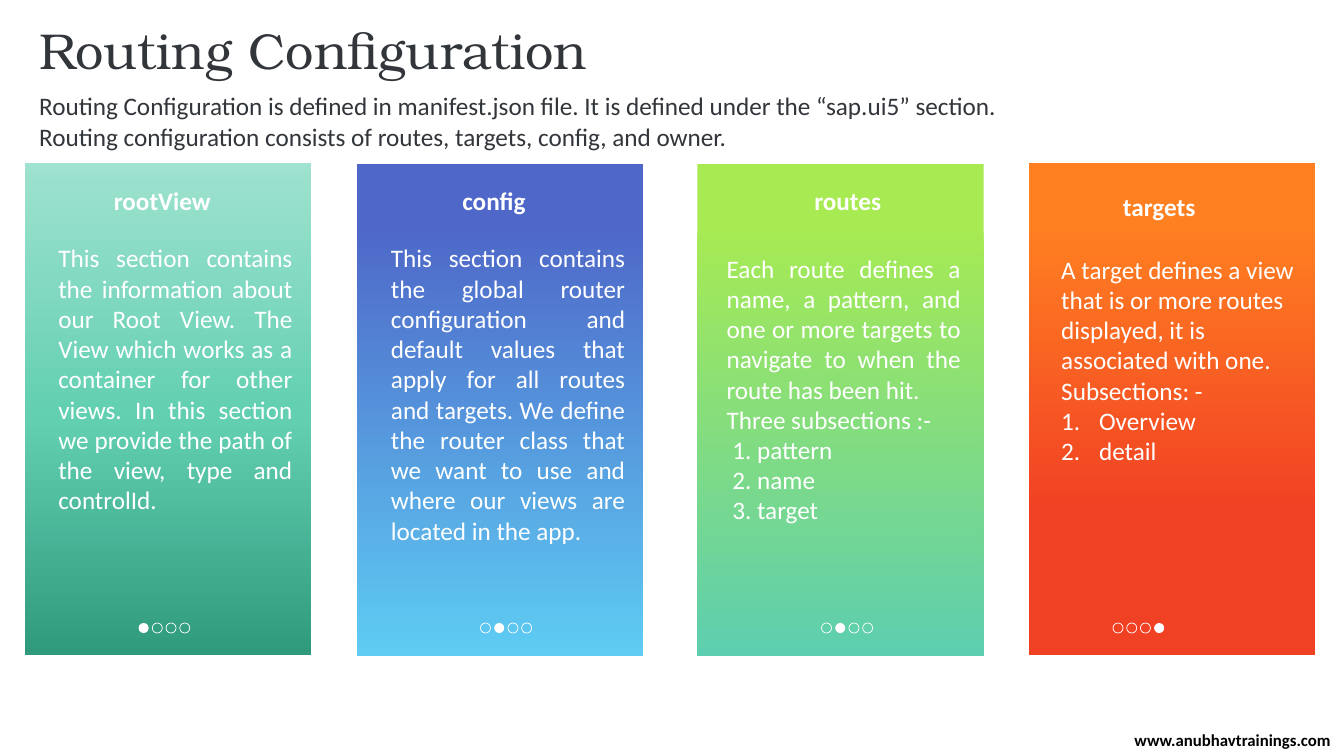
import dataclasses

import lxml.etree
import pptx
import pptx.dml.color
import pptx.enum.shapes
import pptx.enum.text
import pptx.oxml.ns
import pptx.util

Pt = pptx.util.Pt
Align = pptx.enum.text.PP_ALIGN
Anchor = pptx.enum.text.MSO_ANCHOR
Shape = pptx.enum.shapes.MSO_SHAPE
qn = pptx.oxml.ns.qn


@dataclasses.dataclass(frozen=True)
class Theme:
    ink: str = "32363A"
    white: str = "FFFFFF"
    black: str = "000000"
    title_font: str = "TeX Gyre Bonum"
    body_font: str = "Calibri"
    title_size: int = 36
    body_size: int = 18
    footer_size: int = 12
    # Gradient stops from top to bottom: (percent, colour)
    mint: tuple = ((0, "9EE2CF"), (52, "62CFB1"), (100, "2F9A7C"))
    blue: tuple = ((12, "4E67C8"), (100, "5ECCF3"))
    green: tuple = ((12, "A7EA52"), (100, "5DCEAF"))
    orange: tuple = ((12, "FF8021"), (71, "F14124"), (100, "F14124"))


@dataclasses.dataclass(frozen=True)
class Panel:
    left: float
    top: float
    stops: tuple
    heading: str
    heading_center: float
    heading_top: float
    body_left: float
    body_top: float
    body_height: float
    lines: tuple
    dots_left: float
    active_dot: int
    numbered: tuple = ()
    number_left: float = 0
    number_hanging: float = 0
    align: Align = Align.JUSTIFY


THEME = Theme()
PANEL_SIZE = (204.5, 351.4)
TEXT_WIDTH = 181.44
DOT_SIZE, DOT_PITCH, DOT_TOP, DOT_COUNT = 7.2, 9.8, 445, 4

PANELS = (
    Panel(18, 116.64, THEME.mint, "rootView", 115.9, 128.16, 34.56, 169.92, 203.8,
          ("This section contains the information about our Root View. "
           "The View which works as a container for other views. In this "
           "section we provide the path of the view, type and controlId.",),
          99, 0),
    Panel(254.9, 117.36, THEME.blue, "config", 352.8, 128.16, 272.16, 169.92, 225.4,
          ("This section contains the global router configuration and default "
           "values that apply for all routes and targets. We define the router "
           "class that we want to use and where our views are located in the app.",),
          343.2, 1),
    Panel(498.2, 117.36, THEME.green, "routes", 605.5, 128.16, 511.92, 177.12, 203.8,
          ("Each route defines a name, a pattern, and one or more targets to "
           "navigate to when the route has been hit.",
           "Three subsections :-"),
          586.8, 1, ("pattern", "name", "target"), 21.8, 17.7),
    Panel(735.1, 116.64, THEME.orange, "targets", 828, 132.48, 750.96, 177.84, 181.4,
          ("A target defines a view that is or more routes displayed, it is "
           "associated with one.",
           "Subsections: -"),
          795, 3, ("Overview", "detail"), 27, 27, Align.LEFT),
)


def rgb(value):
    return pptx.dml.color.RGBColor.from_string(value)


def write_paragraph(paragraph, text, *, font, size, color, bold=False,
                    align=Align.LEFT, spacing=None):
    paragraph.alignment = align
    if spacing:
        paragraph.line_spacing = spacing
    run = paragraph.add_run()
    run.text = text
    run.font.name = font
    run.font.size = Pt(size)
    run.font.bold = bold
    run.font.color.rgb = rgb(color)


class SlideBuilder:
    def __init__(self, slide, theme):
        self.slide = slide
        self.theme = theme

    def text(self, left, top, width, height, lines, *, anchor=Anchor.TOP,
             grow=True, numbered=(), number_left=0, number_hanging=0, **style):
        box = self.slide.shapes.add_textbox(Pt(left), Pt(top), Pt(width), Pt(height))
        frame = box.text_frame
        frame.word_wrap = True
        frame.vertical_anchor = anchor
        if grow:
            frame.auto_size = pptx.enum.text.MSO_AUTO_SIZE.SHAPE_TO_FIT_TEXT
        style = {"font": self.theme.body_font, "size": self.theme.body_size,
                 "color": self.theme.white, **style}
        for index, line in enumerate((*lines, *numbered)):
            paragraph = frame.add_paragraph() if index else frame.paragraphs[0]
            if index >= len(lines):
                self.number(paragraph, number_left, number_hanging)
            write_paragraph(paragraph, line, **style)

    def number(self, paragraph, left, hanging):
        properties = paragraph._p.get_or_add_pPr()
        properties.set("marL", str(Pt(left)))
        properties.set("indent", str(-Pt(hanging)))
        lxml.etree.SubElement(properties, qn("a:buFont"), typeface="+mj-lt")
        lxml.etree.SubElement(properties, qn("a:buAutoNum"), type="arabicPeriod")

    def gradient_box(self, left, top, width, height, stops):
        shape = self.slide.shapes.add_shape(
            Shape.RECTANGLE, Pt(left), Pt(top), Pt(width), Pt(height))
        shape.shadow.inherit = False
        shape.line.fill.background()
        shape.fill.gradient()
        shape.fill.gradient_angle = 270
        stop_list = shape._element.spPr.find(".//" + qn("a:gsLst"))
        for stop in list(stop_list):
            stop_list.remove(stop)
        for percent, color in stops:
            stop = lxml.etree.SubElement(stop_list, qn("a:gs"), pos=str(percent * 1000))
            lxml.etree.SubElement(stop, qn("a:srgbClr"), val=color)

    def dot(self, left, top, size, filled):
        shape = self.slide.shapes.add_shape(
            Shape.OVAL, Pt(left), Pt(top), Pt(size), Pt(size))
        shape.shadow.inherit = False
        if filled:
            shape.fill.solid()
            shape.fill.fore_color.rgb = rgb(self.theme.white)
            shape.line.fill.background()
        else:
            shape.fill.background()
            shape.line.color.rgb = rgb(self.theme.white)
            shape.line.width = Pt(0.5)

    def panel(self, panel):
        self.gradient_box(panel.left, panel.top, *PANEL_SIZE, panel.stops)
        self.text(panel.heading_center - TEXT_WIDTH / 2, panel.heading_top,
                  TEXT_WIDTH, 29, (panel.heading,), anchor=Anchor.BOTTOM,
                  bold=True, align=Align.CENTER)
        self.text(panel.body_left, panel.body_top, TEXT_WIDTH, panel.body_height,
                  panel.lines, numbered=panel.numbered, align=panel.align,
                  number_left=panel.number_left, number_hanging=panel.number_hanging)
        for index in range(DOT_COUNT):
            self.dot(panel.dots_left + index * DOT_PITCH, DOT_TOP, DOT_SIZE,
                     index == panel.active_dot)


def main():
    presentation = pptx.Presentation()
    presentation.slide_width, presentation.slide_height = Pt(960), Pt(540)
    slide = presentation.slides.add_slide(presentation.slide_layouts[6])
    builder = SlideBuilder(slide, THEME)

    # Title and introduction
    builder.text(20.88, 15.12, 612, 46.8, ("Routing Configuration",), grow=False,
                 font=THEME.title_font, size=THEME.title_size, color=THEME.ink,
                 spacing=0.9)
    builder.text(20.88, 61.2, 879.12, 51.12, (
        "Routing Configuration is defined in manifest.json file. "
        "It is defined under the “sap.ui5” section.",
        "Routing configuration consists of routes, targets, config, and owner.",
    ), color=THEME.ink)

    # Section panels
    for panel in PANELS:
        builder.panel(panel)

    # Footer
    builder.text(801.36, 522.72, 158.4, 11.52, ("www.anubhavtrainings.com",),
                 anchor=Anchor.MIDDLE, grow=False, size=THEME.footer_size,
                 color=THEME.black, bold=True, align=Align.CENTER)

    presentation.save("out.pptx")


if __name__ == "__main__":
    main()
